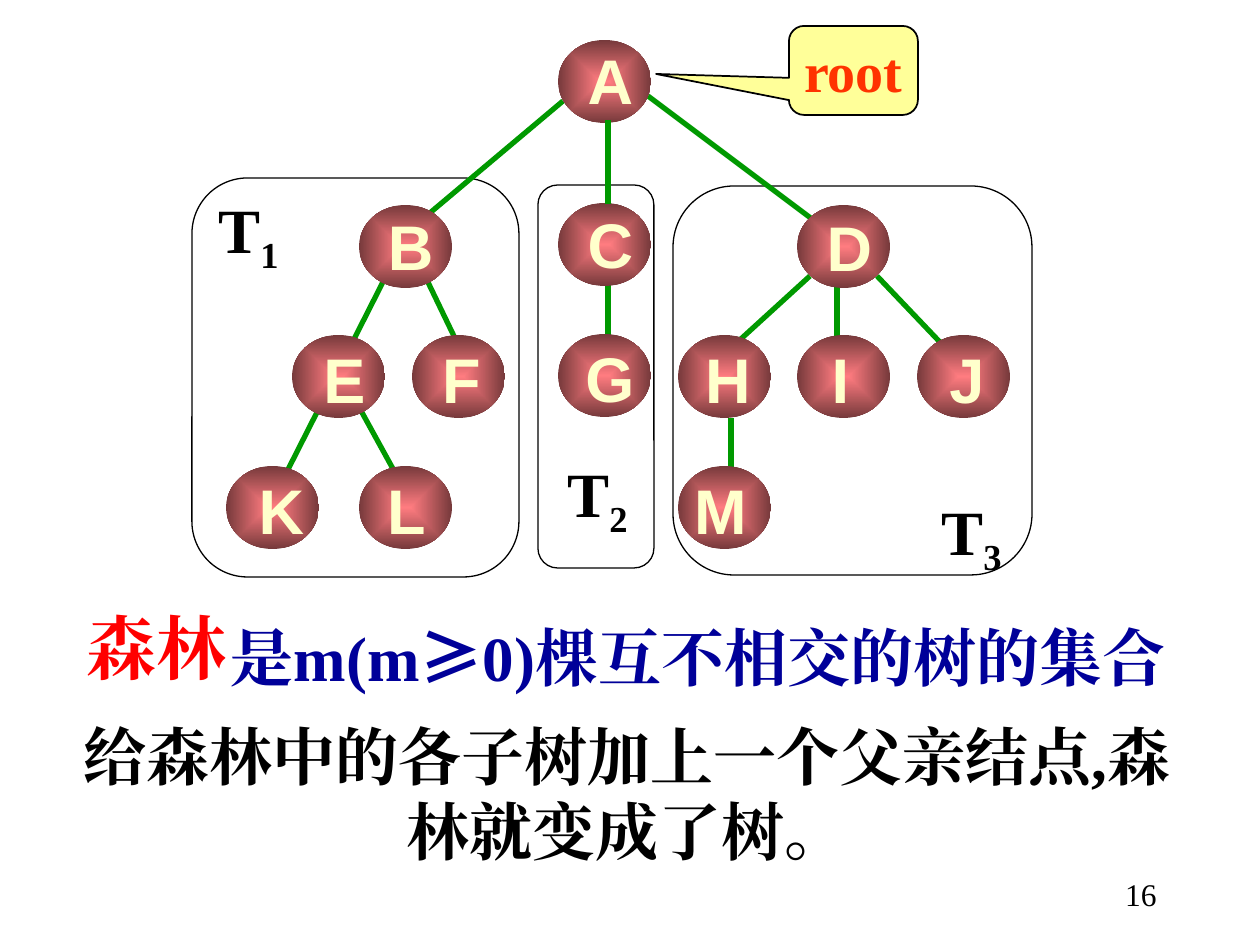
from dataclasses import dataclass

from lxml import etree
from pptx import Presentation
from pptx import util as u
from pptx.dml.color import RGBColor
from pptx.enum import shapes, text
from pptx.oxml import ns

PX_PER_INCH = 126
NODE_W, NODE_H, LABEL_H = 93, 83, 88
SERIF, SANS, CJK = "Times New Roman", "Arial", "Noto Sans CJK SC"
COLORS = {
    "red": "FF0000", "navy": "000099", "black": "000000", "white": "FFFFFF",
    "green": "009900", "cream": "FFFFCC", "callout": "FFFF99",
    "root": "FF3300", "node_light": "FF7C80", "node_dark": "76393B",
}


@dataclass
class Node:
    letter: str
    left: int
    top: int
    label_left: int
    label_width: int
    label_rise: int = 1


@dataclass
class Edge:
    x1: int
    y1: int
    x2: int
    y2: int


@dataclass
class Subtree:
    index: str
    left: int
    top: int
    width: int
    height: int
    label_left: int
    label_top: int


NODES = [
    Node("A", 558, 40, 575, 71, 5),
    Node("B", 359, 205, 375, 71, 4),
    Node("C", 558, 203, 575, 71, 4),
    Node("D", 797, 205, 814, 71, 3),
    Node("E", 292, 335, 311, 67),
    Node("F", 412, 335, 430, 63),
    Node("G", 558, 334, 573, 74),
    Node("H", 678, 335, 689, 78),
    Node("I", 797, 335, 819, 43),
    Node("J", 917, 335, 937, 60),
    Node("K", 226, 466, 246, 71),
    Node("L", 359, 466, 375, 63),
    Node("M", 678, 466, 682, 77),
]
EDGES = [
    Edge(648, 96, 824, 228), Edge(563, 101, 412, 228),
    Edge(425, 276, 465, 359), Edge(359, 407, 398, 478),
    Edge(386, 276, 266, 513), Edge(877, 276, 956, 359),
    Edge(810, 276, 731, 348), Edge(837, 287, 837, 348),
    Edge(731, 418, 731, 490), Edge(608, 275, 608, 339),
]
ROOT_TO_C = Edge(608, 120, 608, 204)
SUBTREES = [
    Subtree("3", 673, 186, 359, 389, 929, 486),
    Subtree("2", 538, 185, 116, 383, 555, 448),
    Subtree("1", 192, 178, 327, 399, 206, 184),
]


def px(length: int) -> int:
    return round(length * u.Inches(1) / PX_PER_INCH)


def rgb(name: str) -> RGBColor:
    return RGBColor.from_string(COLORS[name])


def place(shape, left: int, top: int, width: int, height: int) -> None:
    shape.left, shape.top = px(left), px(top)
    shape.width, shape.height = px(width), px(height)


def write(shape, content: str, *, size: int, color: str, font: str = SERIF,
          bold: bool = True, align=text.PP_ALIGN.LEFT,
          anchor=text.MSO_ANCHOR.TOP, wrap: bool = True, spacing: float = 1.0,
          subscript: str = "", symbols: str = "") -> None:
    frame = shape.text_frame
    frame.word_wrap = wrap
    frame.auto_size = text.MSO_AUTO_SIZE.NONE
    frame.vertical_anchor = anchor
    paragraph = frame.paragraphs[0]
    paragraph.alignment = align
    paragraph.line_spacing = spacing
    pieces = [(content, font, False)]
    if symbols:
        before, after = content.split(symbols)
        pieces = [(before, font, False), (symbols, CJK, False), (after, font, False)]
    if subscript:
        pieces.append((subscript, font, True))
    for words, face, lowered in pieces:
        run = paragraph.add_run()
        run.text = words
        run.font.size, run.font.bold = u.Pt(size), bold
        run.font.name = face
        run.font.color.rgb = rgb(color)
        properties = run.font._element
        etree.SubElement(properties, ns.qn("a:ea"), typeface=face)
        if lowered:
            properties.set("baseline", "-25000")


def add_text(slide, box: tuple[int, int, int, int], content: str, **style) -> None:
    write(slide.shapes.add_textbox(*map(px, box)), content, **style)


def add_panel(slide, kind, box: tuple[int, int, int, int], fill: str, weight: float):
    panel = slide.shapes.add_shape(kind, *map(px, box))
    panel.shadow.inherit = False
    panel.fill.solid()
    panel.fill.fore_color.rgb = rgb(fill)
    panel.line.color.rgb = rgb("black")
    panel.line.width = u.Pt(weight)
    return panel


def draw_subtree(slide, tree: Subtree) -> None:
    panel = add_panel(slide, shapes.MSO_SHAPE.ROUNDED_RECTANGLE,
                      (tree.left, tree.top, tree.width, tree.height), "white", 0.75)
    panel.adjustments[0] = 0.17
    add_text(slide, (tree.label_left, tree.label_top, 92, 88), "T",
             subscript=tree.index, size=36, color="black", wrap=False)


def draw_edge(slide, edge: Edge) -> None:
    line = slide.shapes.add_connector(
        shapes.MSO_CONNECTOR.STRAIGHT,
        px(edge.x1), px(edge.y1), px(edge.x2), px(edge.y2))
    line.line.color.rgb = rgb("green")
    line.line.width = u.Pt(3)
    etree.SubElement(line._element.spPr, ns.qn("a:effectLst"))


def draw_node(slide, node: Node) -> None:
    ball = slide.shapes.add_shape(shapes.MSO_SHAPE.OVAL, px(node.left), px(node.top),
                                  px(NODE_W), px(NODE_H))
    ball.shadow.inherit = False
    ball.line.fill.background()
    ball.fill.gradient()
    for stop, color in zip(ball.fill.gradient_stops, ("node_light", "node_dark")):
        stop.color.rgb = rgb(color)
    linear = ball._element.spPr.find(".//" + ns.qn("a:lin"))
    radial = etree.Element(ns.qn("a:path"), path="rect")
    etree.SubElement(radial, ns.qn("a:fillToRect"),
                     {side: "50000" for side in "ltrb"})
    linear.getparent().replace(linear, radial)
    add_text(slide, (node.label_left, node.top - node.label_rise,
                     node.label_width, LABEL_H), node.letter,
             size=36, color="cream", font=SANS, align=text.PP_ALIGN.CENTER,
             anchor=text.MSO_ANCHOR.MIDDLE, wrap=False)


def main() -> None:
    deck = Presentation()
    deck.slide_width, deck.slide_height = u.Inches(10), u.Inches(7.5)
    slide = deck.slides.add_slide(deck.slide_layouts[5])

    definition = slide.shapes.title
    place(definition, 218, 597, 997, 103)
    write(definition, "是m(m≥0)棵互不相交的树的集合", symbols="≥",
          size=36, color="navy", spacing=1.2)
    add_text(slide, (74, 582, 297, 113), "森林", size=40, color="red", spacing=1.2)
    add_text(slide, (44, 711, 1166, 164),
             "给森林中的各子树加上一个父亲结点,森林就变成了树。",
             size=36, color="black", align=text.PP_ALIGN.CENTER)

    callout = add_panel(slide, shapes.MSO_SHAPE.ROUNDED_RECTANGULAR_CALLOUT,
                        (789, 26, 129, 89), "callout", 1)
    for position, value in enumerate((-1.53, 0.04, 0.17)):
        callout.adjustments[position] = value
    write(callout, "root", size=32, color="root", align=text.PP_ALIGN.CENTER,
          anchor=text.MSO_ANCHOR.MIDDLE, wrap=False)

    for tree in SUBTREES:
        draw_subtree(slide, tree)
    for edge in EDGES:
        draw_edge(slide, edge)
    for node in NODES:
        draw_node(slide, node)
    draw_edge(slide, ROOT_TO_C)

    add_text(slide, (907, 869, 262, 63), "16", size=18, color="black",
             bold=False, align=text.PP_ALIGN.RIGHT)
    deck.save("out.pptx")


if __name__ == "__main__":
    main()
